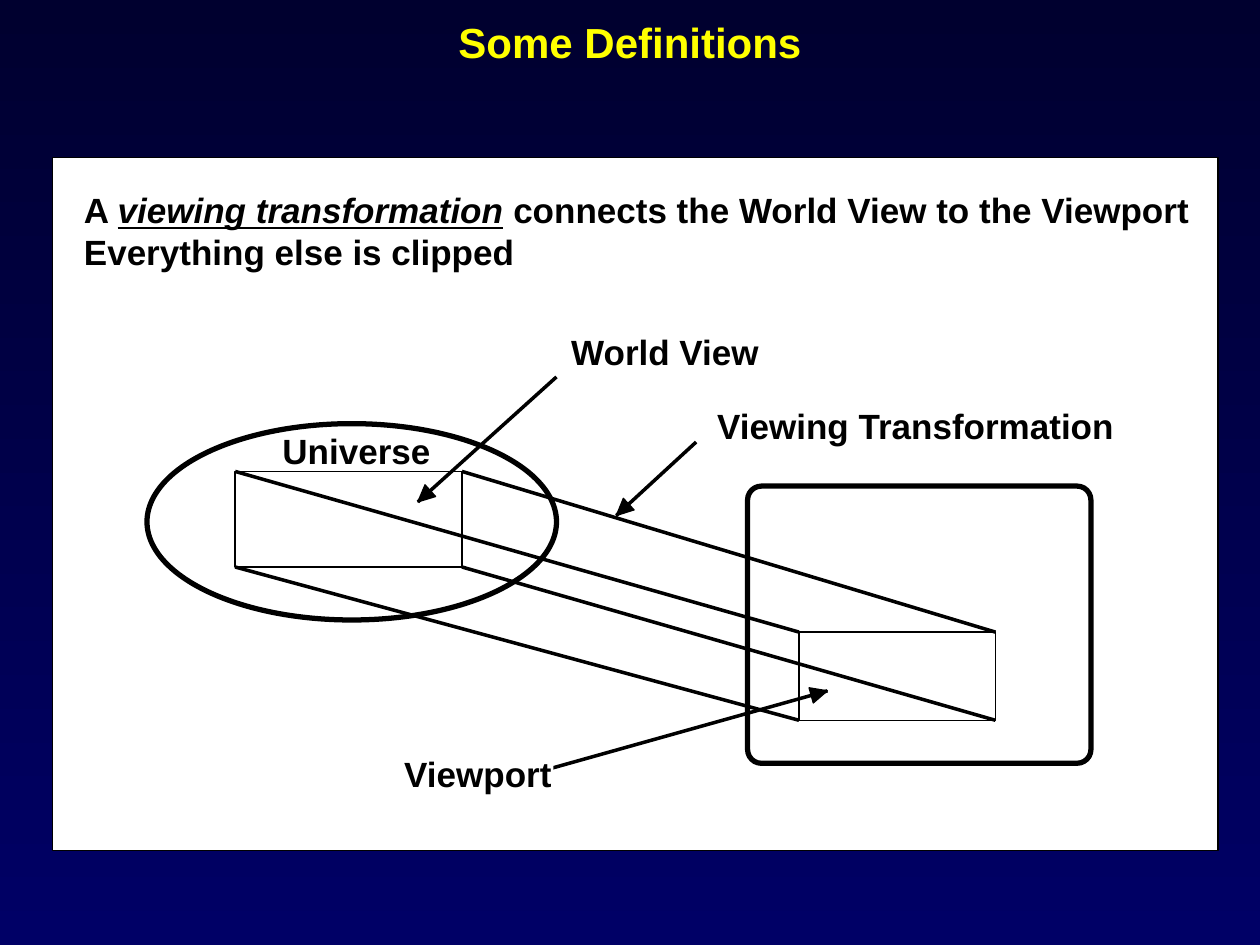
"""Build the slide that defines the viewing transformation on a 120 by 90 grid."""
import math

from lxml import etree
from pptx import Presentation
from pptx import util as u
from pptx.dml.color import RGBColor
from pptx.enum import shapes, text
from pptx.oxml import ns

COLUMNS, ROWS = 120, 90
CELL = u.Inches(10) / COLUMNS
COLORS = {"top": "00002F", "bottom": "000066", "title": "FFFF00",
          "paper": "FFFFFF", "ink": "000000"}
FONT = "Arial"
HEAD_LENGTH, HEAD_HALF_WIDTH = 1.6, 0.75

TITLE = [[("Some Definitions", False)]]
STATEMENT = [
    [("A ", False), ("viewing transformation", True),
     (" connects the World View to the Viewport", False)],
    [("Everything else is clipped", False)],
]
PANEL = (5, 15, 111, 66)
UNIVERSE = (14, 40.35, 39, 18.7)
WORLD_VIEW = (22.4, 44.9, 21.6, 9.1)
SCREEN = (71.2, 46.3, 32.7, 26.4)
VIEWPORT = (76.1, 60.2, 18.7, 8.4)
KINDS = shapes.MSO_SHAPE
OUTLINES = [
    (KINDS.RECTANGLE, PANEL, 0.75),
    (KINDS.OVAL, UNIVERSE, 3),
    (KINDS.RECTANGLE, WORLD_VIEW, 0),
    (KINDS.ROUNDED_RECTANGLE, SCREEN, 3),
    (KINDS.RECTANGLE, VIEWPORT, 0),
]
ARROWS = [
    ((53, 35.9), (39.8, 47.8)),
    ((66.3, 42.1), (58.7, 49.1)),
    ((51.7, 73.4), (78.8, 65.8)),
]
LABELS = [
    ("Universe", (26.9, 40.9, 14.2, 4), False),
    ("World View", (54.4, 31.5, 18, 4), True),
    ("Viewing Transformation", (68.3, 38.5, 38, 4), True),
    ("Viewport", (38.5, 71.7, 14.2, 4), True),
]


def grid(*cells):
    return [u.Emu(round(cell * CELL)) for cell in cells]


def color(name):
    return RGBColor.from_string(COLORS[name])


def paint(shape, fill, width):
    shape.shadow.inherit = False
    shape.fill.solid()
    shape.fill.fore_color.rgb = color(fill)
    shape.line.color.rgb = color("ink")
    shape.line.width = u.Pt(width)


def add_outline(page, kind, place, width):
    shape = page.shapes.add_shape(kind, *grid(*place))
    paint(shape, "paper", width)
    if kind == KINDS.ROUNDED_RECTANGLE:
        shape.adjustments[0] = 0.05


def add_line(page, start, end):
    line = page.shapes.add_connector(
        shapes.MSO_CONNECTOR.STRAIGHT, *grid(*start, *end))
    line.line.color.rgb = color("ink")
    line.line.width = u.Pt(0)
    properties = line._element.find(ns.qn("p:spPr"))
    etree.SubElement(properties, ns.qn("a:effectLst"))


def add_arrow(page, start, end):
    add_line(page, start, end)
    angle = math.atan2(end[1] - start[1], end[0] - start[0])
    along, across = math.cos(angle), math.sin(angle)
    base = (end[0] - HEAD_LENGTH * along, end[1] - HEAD_LENGTH * across)
    corners = [(base[0] - side * across, base[1] + side * along)
               for side in (HEAD_HALF_WIDTH, -HEAD_HALF_WIDTH)]
    builder = page.shapes.build_freeform(*grid(*end))
    builder.add_line_segments([grid(*corner) for corner in corners], close=True)
    paint(builder.convert_to_shape(), "ink", 0)


def add_text(page, place, paragraphs, size=20, ink="ink", filled=False,
             wrap=True, centered=False):
    box = page.shapes.add_textbox(*grid(*place))
    if filled:
        box.fill.solid()
        box.fill.fore_color.rgb = color("paper")
    frame = box.text_frame
    frame.word_wrap = wrap
    frame.margin_left = frame.margin_right = 0
    frame.margin_top = frame.margin_bottom = 0
    if centered:
        frame.vertical_anchor = text.MSO_ANCHOR.MIDDLE
    for index, runs in enumerate(paragraphs):
        para = frame.add_paragraph() if index else frame.paragraphs[0]
        para.alignment = text.PP_ALIGN.CENTER if centered else text.PP_ALIGN.LEFT
        for words, stressed in runs:
            span = para.add_run()
            span.text = words
            span.font.name = FONT
            span.font.size = u.Pt(size)
            span.font.bold = True
            span.font.italic = span.font.underline = stressed
            span.font.color.rgb = color(ink)


def corners_of(place):
    left, top, width, height = place
    return [(x, y) for x in (left, left + width) for y in (top, top + height)]


def main():
    deck = Presentation()
    deck.slide_width, deck.slide_height = grid(COLUMNS, ROWS)
    page = deck.slides.add_slide(deck.slide_layouts[6])
    background = page.background.fill
    background.gradient()
    background.gradient_angle = 270
    for stop, name in zip(background.gradient_stops, ("top", "bottom")):
        stop.color.rgb = color(name)

    add_text(page, (0, 0, COLUMNS, 8), TITLE, 24, "title", centered=True)
    for outline in OUTLINES:
        add_outline(page, *outline)
    for start, end in zip(corners_of(WORLD_VIEW), corners_of(VIEWPORT)):
        add_line(page, start, end)
    for start, end in ARROWS:
        add_arrow(page, start, end)
    for words, place, filled in LABELS:
        add_text(page, place, [[(words, False)]], filled=filled, wrap=False)
    add_text(page, (8, 18, 107, 8), STATEMENT, filled=True)
    deck.save("out.pptx")


if __name__ == "__main__":
    main()
